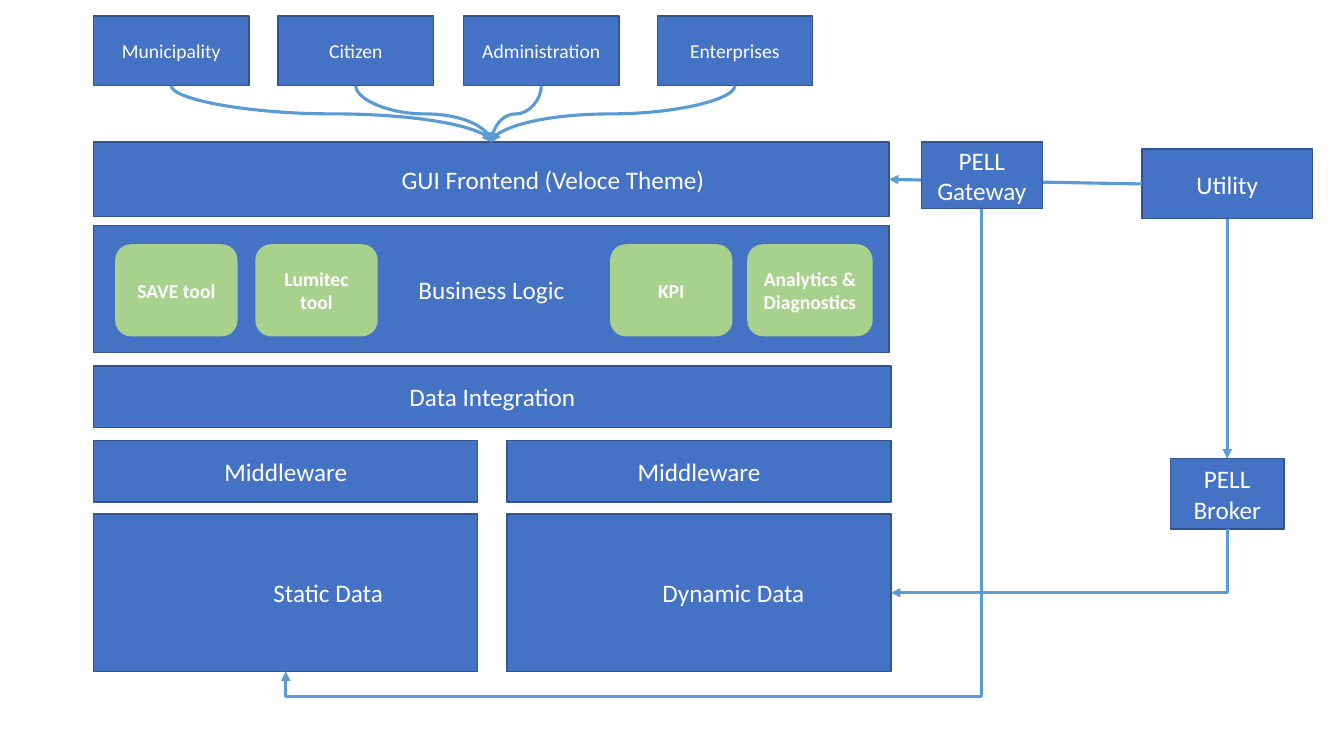
"""Draw the layered architecture of a public lighting data platform."""
from dataclasses import dataclass

from lxml.etree import SubElement
from pptx import Presentation
from pptx.dml.color import RGBColor
from pptx.enum.shapes import MSO_CONNECTOR as Route, MSO_SHAPE as Preset
from pptx.enum.text import MSO_ANCHOR, PP_ALIGN
from pptx.oxml.ns import qn
from pptx.shapes.autoshape import Shape
from pptx.shapes.connector import Connector
from pptx.util import Inches, Pt

CELL = 0.1
COLUMNS, ROWS = 133.33, 75
BLUE, NAVY, GREEN, SKY, WHITE = "4472C4", "325491", "A9D18E", "5B9BD5", "FFFFFF"
LEFT, RIGHT, HALF = 9.3, 50.3, 38.1
TOP, LEFT_SIDE, BOTTOM, RIGHT_SIDE = range(4)


@dataclass(frozen=True)
class Block:
    """A labelled box placed in grid columns and rows."""
    label: str
    column: float
    row: float
    columns: float
    rows: float
    size: int = 18
    tool: bool = False
    indent: float = 0

    @property
    def middle(self) -> float:
        return self.column + self.columns / 2

    @property
    def bottom(self) -> float:
        return self.row + self.rows


def grid(cells: float) -> int:
    """Convert grid cells to slide units."""
    return Inches(cells * CELL)


def colour(value: str) -> RGBColor:
    """Turn a hex string into a colour."""
    return RGBColor.from_string(value)


def draw_block(block: Block) -> Shape:
    """Draw one box with its centred label."""
    preset = Preset.ROUNDED_RECTANGLE if block.tool else Preset.RECTANGLE
    box = slide.shapes.add_shape(preset, grid(block.column), grid(block.row),
                                 grid(block.columns), grid(block.rows))
    box.shadow.inherit = False
    box.fill.solid()
    box.fill.fore_color.rgb = colour(GREEN if block.tool else BLUE)
    box.line.color.rgb = colour(GREEN if block.tool else NAVY)
    box.line.width = Pt(1)
    frame = box.text_frame
    frame.word_wrap = True
    frame.vertical_anchor = MSO_ANCHOR.MIDDLE
    frame.margin_left = grid(1 + block.indent)
    frame.text = block.label
    paragraph = frame.paragraphs[0]
    paragraph.alignment = PP_ALIGN.CENTER
    font = paragraph.font
    font.name, font.size, font.bold = "Calibri", Pt(block.size), block.tool
    font.color.rgb = colour(WHITE)
    return box


def style_arrow(arrow: Connector) -> None:
    """Give a connector its line, arrowhead and no shadow."""
    arrow.line.color.rgb = colour(SKY)
    arrow.line.width = Pt(2.25)
    SubElement(arrow.line._get_or_add_ln(), qn("a:tailEnd"), type="triangle")
    SubElement(arrow._element.spPr, qn("a:effectLst"))


def join(source: Shape, source_side: int, target: Shape, target_side: int) -> None:
    """Join two boxes with a straight arrow."""
    arrow = slide.shapes.add_connector(Route.STRAIGHT, 0, 0, 0, 0)
    arrow.begin_connect(source, source_side)
    arrow.end_connect(target, target_side)
    style_arrow(arrow)


def route_down(source: Block, column: float, row: float, kind: Route,
               preset: str, bend: int = 50000) -> None:
    """Route an arrow that leaves the bottom of a box and ends at a grid point."""
    centre_x, centre_y = (source.middle + column) / 2, (source.bottom + row) / 2
    reach, drop = abs(column - source.middle) / 2, (row - source.bottom) / 2
    rightward = column > source.middle
    run = -drop if rightward else drop
    arrow = slide.shapes.add_connector(
        kind, grid(centre_x - run), grid(centre_y - reach),
        grid(centre_x + run), grid(centre_y + reach))
    properties = arrow._element.spPr
    properties.find(qn("a:xfrm")).set("rot", str((270 if rightward else 90) * 60000))
    geometry = properties.find(qn("a:prstGeom"))
    geometry.set("prst", preset)
    if bend != 50000:
        SubElement(geometry.find(qn("a:avLst")), qn("a:gd"),
                   name="adj1", fmla=f"val {bend}")
    style_arrow(arrow)


ACTORS = [Block(label, column, 1.6, 15.4, 6.9, size=14) for label, column in (
    ("Municipality", LEFT), ("Citizen", 27.6),
    ("Administration", 46), ("Enterprises", 65.2))]
FRONTEND = Block("GUI Frontend (Veloce Theme)", LEFT, 14.1, 78.9, 7.4, indent=12.2)
STATIC = Block("Static Data", LEFT, 51, HALF, 15.6, indent=8.4)
DYNAMIC = Block("Dynamic Data", RIGHT, 51, HALF, 15.6, indent=6.8)
LAYERS = [
    Block("Business Logic", LEFT, 22.4, 78.9, 12.6),
    Block("Data Integration", LEFT, 36.3, 79.1, 6.1),
    *(Block("Middleware", column, 43.7, HALF, 6.1) for column in (LEFT, RIGHT)),
    STATIC, DYNAMIC]
TOOLS = [Block(label, column, 24.3, columns, 9, size=14, tool=True)
         for label, column, columns in (
             ("SAVE tool", 11.5, 12), ("Lumitec tool", 25.4, 12),
             ("KPI", 60.6, 12), ("Analytics & Diagnostics", 74.2, 12.3))]
UTILITY = Block("Utility", 113.3, 14.8, 16.9, 6.9)
BROKER = Block("PELL Broker", 116.1, 45.5, 11.3, 7)
GATEWAY = Block("PELL Gateway", 91.4, 14.1, 12, 6.6)

deck = Presentation()
deck.slide_width, deck.slide_height = grid(COLUMNS), grid(ROWS)
slide = deck.slides.add_slide(deck.slide_layouts[6])

for part in ACTORS + LAYERS + TOOLS:
    draw_block(part)
frontend, utility, broker = map(draw_block, (FRONTEND, UTILITY, BROKER))
join(utility, BOTTOM, broker, TOP)
join(utility, LEFT_SIDE, frontend, RIGHT_SIDE)
draw_block(GATEWAY)

for actor in ACTORS:
    route_down(actor, FRONTEND.middle, FRONTEND.row, Route.CURVE, "curvedConnector3")
route_down(BROKER, DYNAMIC.column + DYNAMIC.columns, DYNAMIC.row + DYNAMIC.rows / 2,
           Route.ELBOW, "bentConnector2")
route_down(GATEWAY, STATIC.middle, STATIC.bottom, Route.ELBOW, "bentConnector3", 105400)

deck.save("out.pptx")
